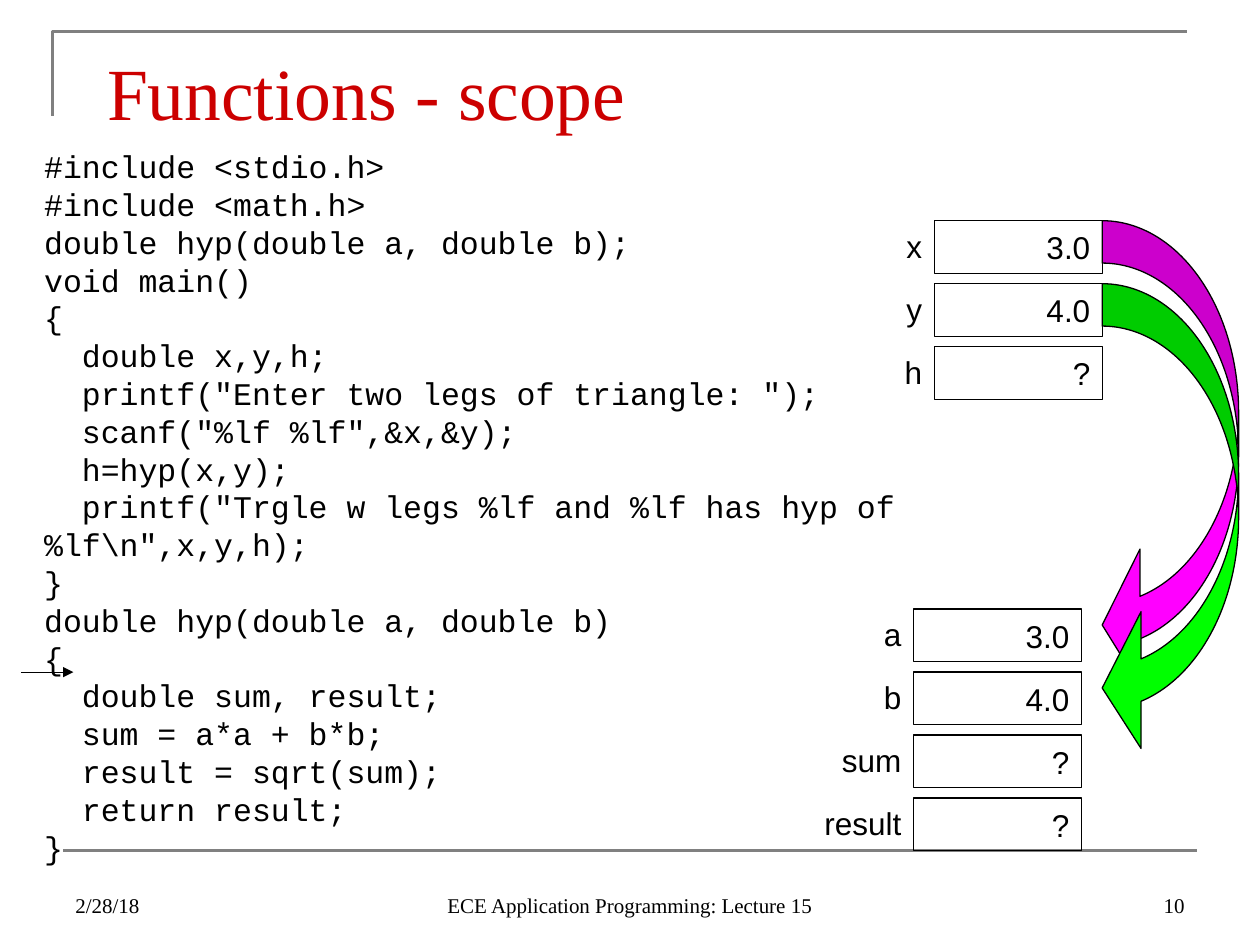
import pptx
import pptx.dml.color
import pptx.enum.shapes
import pptx.enum.text
import pptx.oxml
import pptx.oxml.ns
import pptx.util
from dataclasses import dataclass

Cm = pptx.util.Cm
Pt = pptx.util.Pt
ALIGN = pptx.enum.text.PP_ALIGN
ANCHOR = pptx.enum.text.MSO_ANCHOR
SHAPE = pptx.enum.shapes.MSO_SHAPE


@dataclass(frozen=True)
class Theme:
    serif: str = "Times New Roman"
    sans: str = "Arial"
    mono: str = "Courier New"
    ink: str = "000000"
    rule: str = "808080"
    title: str = "CC0000"
    x_arrow: str = "FF00FF"
    y_arrow: str = "00FF00"
    title_size: float = 42
    body_size: float = 18
    footer_size: float = 12
    thin: float = 0.75
    thick: float = 1.5


THEME = Theme()
ROW_PITCH = 1.27
CELL_WIDTH, CELL_HEIGHT = 3.39, 1.06

# Each entry is a paragraph; its lines are parted by line breaks
CODE = [
    """#include <stdio.h>
#include <math.h>""",
    "double hyp(double a, double b);",
    r"""void main()
{
  double x,y,h;
  printf("Enter two legs of triangle: ");
  scanf("%lf %lf",&x,&y);
  h=hyp(x,y);
  printf("Trgle w legs %lf and %lf has hyp of %lf\n",x,y,h);
}""",
    """double hyp(double a, double b)
{
  double sum, result;
  sum = a*a + b*b;
  result = sqrt(sum);
  return result;
}""",
]


def rgb(value):
    return pptx.dml.color.RGBColor.from_string(value)


def write(shape, paragraphs, font, size, color=THEME.ink, align=ALIGN.LEFT,
          anchor=ANCHOR.TOP):
    frame = shape.text_frame
    frame.word_wrap = True
    frame.vertical_anchor = anchor
    for index, text in enumerate(paragraphs):
        paragraph = frame.add_paragraph() if index else frame.paragraphs[0]
        paragraph.alignment = align
        for number, line in enumerate(text.split("\n")):
            if number:
                paragraph.add_line_break()
            run = paragraph.add_run()
            run.text = line
            run.font.name = font
            run.font.size = Pt(size)
            run.font.color.rgb = rgb(color)
    return frame


def add_text(slide, left, top, width, height, paragraphs, font, size, **style):
    shape = slide.shapes.add_textbox(Cm(left), Cm(top), Cm(width), Cm(height))
    return write(shape, paragraphs, font, size, **style)


def add_outlined(slide, preset, left, top, width, height, fill=None):
    shape = slide.shapes.add_shape(preset, Cm(left), Cm(top), Cm(width), Cm(height))
    shape.shadow.inherit = False
    if fill:
        shape.fill.solid()
        shape.fill.fore_color.rgb = rgb(fill)
    else:
        shape.fill.background()
    shape.line.color.rgb = rgb(THEME.ink)
    shape.line.width = Pt(THEME.thin)
    return shape


def add_line(slide, left, right, top, color, width, arrowhead=False):
    line = slide.shapes.add_connector(
        pptx.enum.shapes.MSO_CONNECTOR.STRAIGHT, Cm(left), Cm(top), Cm(right), Cm(top))
    line.line.color.rgb = rgb(color)
    line.line.width = Pt(width)
    properties = line._element.spPr
    if arrowhead:
        head = pptx.oxml.parse_xml(
            f'<a:tailEnd {pptx.oxml.ns.nsdecls("a")} type="triangle"/>')
        line.line._get_or_add_ln().append(head)
    properties.append(pptx.oxml.parse_xml(
        f'<a:effectLst {pptx.oxml.ns.nsdecls("a")}/>'))


def add_frame(slide):
    builder = slide.shapes.build_freeform(Cm(1.06), Cm(2.33))
    builder.add_line_segments([(Cm(1.06), Cm(0.64)), (Cm(23.92), Cm(0.64))], close=False)
    corner = builder.convert_to_shape()
    corner.shadow.inherit = False
    corner.fill.background()
    corner.line.color.rgb = rgb(THEME.rule)
    corner.line.width = Pt(THEME.thick)
    add_line(slide, 1.27, 24.13, 17.15, THEME.rule, THEME.thick)


def add_variables(slide, left, top, variables):
    """Stack named memory cells, with each name to the left of its cell."""
    for row, (name, value) in enumerate(variables):
        row_top = top + row * ROW_PITCH
        label_width = 1.06 if len(name) == 1 else 2.75
        add_text(slide, left - label_width, row_top, label_width, 1.02, [name],
                 THEME.sans, THEME.body_size, align=ALIGN.RIGHT)
        cell = add_outlined(slide, SHAPE.RECTANGLE, left, row_top, CELL_WIDTH, CELL_HEIGHT)
        write(cell, [value], THEME.sans, THEME.body_size, align=ALIGN.RIGHT,
              anchor=ANCHOR.MIDDLE)


def add_argument_arrow(slide, top, fill, head_length):
    arrow = add_outlined(slide, SHAPE.CURVED_LEFT_ARROW, 22.22, top, 2.75, 9.53, fill)
    for index, value in enumerate((0.311, 1.003, head_length)):
        arrow.adjustments[index] = value


def add_footer(slide, left, width, text, align):
    add_text(slide, left, 17.36, width, 1.27, [text], THEME.serif,
             THEME.footer_size, align=align, anchor=ANCHOR.BOTTOM)


def main():
    presentation = pptx.Presentation()
    presentation.slide_width = Cm(25.4)
    presentation.slide_height = Cm(19.05)
    slide = presentation.slides.add_slide(presentation.slide_layouts[6])

    # Frame and title
    add_frame(slide)
    title = add_text(slide, 1.91, 0.64, 21.59, 1.91, ["Functions - scope"],
                     THEME.serif, THEME.title_size, color=THEME.title)
    title.margin_top = Cm(0.3)

    # Program listing
    code = add_text(slide, 0.64, 2.77, 23.28, 16.28, CODE, THEME.mono, THEME.body_size)
    code.margin_top = Cm(0.2)
    for paragraph in code.paragraphs:
        paragraph.line_spacing = Pt(21.6)

    # Variables of main and of hyp
    add_variables(slide, 18.84, 4.45, [("x", "3.0"), ("y", "4.0"), ("h", "?")])
    add_variables(slide, 18.42, 12.28,
                  [("a", "3.0"), ("b", "4.0"), ("sum", "?"), ("result", "?")])

    # Current line and passed arguments
    add_line(slide, 0.42, 1.48, 13.55, THEME.ink, THEME.thin, arrowhead=True)
    add_argument_arrow(slide, 4.45, THEME.x_arrow, 0.277)
    add_argument_arrow(slide, 4.45 + ROW_PITCH, THEME.y_arrow, 0.285)

    # Footer
    add_footer(slide, 1.27, 5.93, "2/28/18", ALIGN.LEFT)
    add_footer(slide, 8.68, 8.04, "ECE Application Programming: Lecture 15", ALIGN.CENTER)
    add_footer(slide, 18.2, 5.93, "10", ALIGN.RIGHT)

    presentation.save("out.pptx")


if __name__ == "__main__":
    main()
